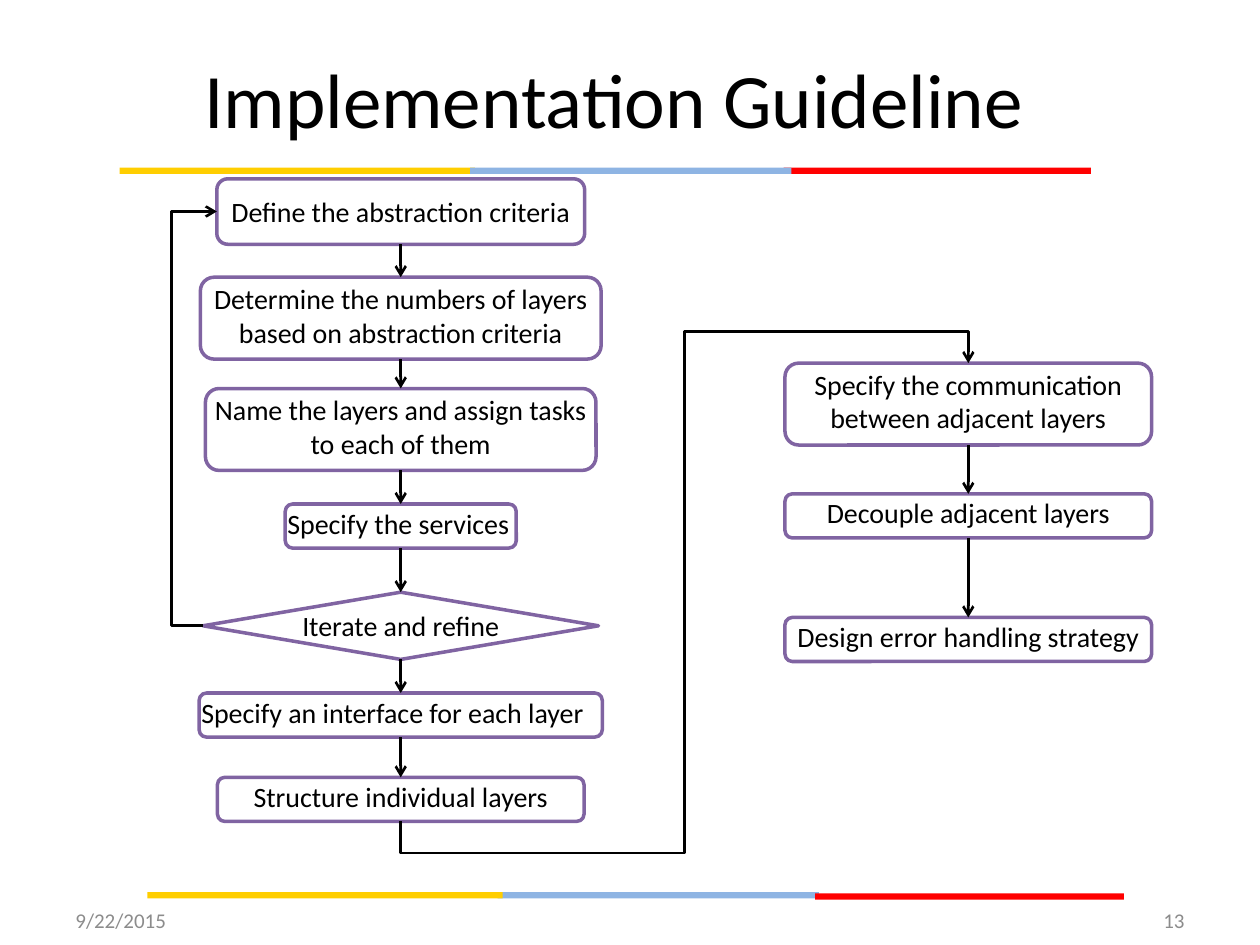
from dataclasses import dataclass
from itertools import pairwise

from lxml.etree import SubElement
from pptx import Presentation
from pptx.dml.color import RGBColor
from pptx.enum.shapes import MSO_CONNECTOR as Connector, MSO_SHAPE as Shape
from pptx.enum.text import MSO_ANCHOR as Anchor, PP_ALIGN as Align
from pptx.oxml.ns import qn
from pptx.shapes.autoshape import Shape as AutoShape
from pptx.shapes.connector import Connector as Line
from pptx.shapes.shapetree import SlideShapes
from pptx.text.text import TextFrame
from pptx.util import Pt

COLORS = {
    "yellow": "FFCE00",
    "blue": "8EB4E3",
    "red": "FF0000",
    "outline": "8064A2",
    "white": "FFFFFF",
    "black": "000000",
    "gray": "8C8C8C",
}
FONT = "Calibri"
LEFT_COLUMN, RIGHT_COLUMN = 229, 553.3
TOP, BOTTOM = 0, 2


@dataclass(frozen=True)
class Bar:
    left: float
    top: float
    width: float
    color: str


@dataclass(frozen=True)
class Step:
    text: str
    center: float
    top: float
    width: float
    height: float = 25.2
    align: Align = Align.CENTER
    outline: Shape = Shape.FLOWCHART_ALTERNATE_PROCESS
    inset_top: float = 0
    inset_bottom: float = 3.6


@dataclass(frozen=True)
class Label:
    text: str
    left: float
    top: float
    width: float
    height: float
    size: float
    color: str
    align: Align


BARS = [
    Bar(447.8, 95.8, 175.7, "red"),
    Bar(68.4, 95.8, 203, "yellow"),
    Bar(268.6, 95.8, 183.6, "blue"),
    Bar(284.4, 509.8, 183.6, "blue"),
    Bar(465.8, 510.5, 176.4, "red"),
    Bar(84.2, 509.8, 203, "yellow"),
]

LEFT_STEPS = [
    Step("Define the abstraction criteria", LEFT_COLUMN, 102.2, 210.2, 37.4,
         inset_top=7.2, inset_bottom=7.2),
    Step("Determine the numbers of layers based on abstraction criteria",
         LEFT_COLUMN, 158.4, 229, 46.8),
    Step("Name the layers and assign tasks to each of them",
         LEFT_COLUMN, 222, 223.2, 46.8),
    Step("Specify the services", LEFT_COLUMN, 288, 132, align=Align.LEFT),
    Step("Iterate and refine", LEFT_COLUMN, 338.4, 226, 38.4,
         outline=Shape.FLOWCHART_DECISION, inset_bottom=0),
    Step("Specify an interface for each layer", LEFT_COLUMN, 396, 230.4,
         align=Align.LEFT),
    Step("Structure individual layers", LEFT_COLUMN, 444.2, 209.5),
]

RIGHT_STEPS = [
    Step("Specify the communication between adjacent layers",
         RIGHT_COLUMN, 207.5, 209.5, 46.8),
    Step("Decouple adjacent layers", RIGHT_COLUMN, 282.2, 209.5),
    Step("Design error handling strategy", RIGHT_COLUMN, 352.8, 209.5),
]

LABELS = [
    Label("Implementation Guideline", 27, 16, 648, 80, 44, "black", Align.CENTER),
    Label("9/22/2015", 36, 511.2, 168, 28.8, 12, "gray", Align.LEFT),
    Label("13", 516, 511.2, 168, 28.8, 12, "gray", Align.RIGHT),
]


def rgb(color: str) -> RGBColor:
    return RGBColor.from_string(COLORS[color])


def write(frame: TextFrame, text: str, size: float, color: str, align: Align) -> None:
    frame.word_wrap = True
    frame.vertical_anchor = Anchor.MIDDLE
    paragraph = frame.paragraphs[0]
    paragraph.text = text
    paragraph.alignment = align
    paragraph.font.name = FONT
    paragraph.font.size = Pt(size)
    paragraph.font.color.rgb = rgb(color)


def draw_bar(shapes: SlideShapes, bar: Bar) -> None:
    stripe = shapes.add_shape(Shape.RECTANGLE, Pt(bar.left), Pt(bar.top),
                              Pt(bar.width), Pt(3.6))
    stripe.shadow.inherit = False
    stripe.fill.solid()
    stripe.fill.fore_color.rgb = rgb(bar.color)
    stripe.line.fill.background()


def draw_label(shapes: SlideShapes, label: Label) -> None:
    caption = shapes.add_textbox(Pt(label.left), Pt(label.top),
                                 Pt(label.width), Pt(label.height))
    write(caption.text_frame, label.text, label.size, label.color, label.align)


def draw_step(shapes: SlideShapes, step: Step) -> AutoShape:
    box = shapes.add_shape(step.outline, Pt(step.center - step.width / 2),
                           Pt(step.top), Pt(step.width), Pt(step.height))
    box.shadow.inherit = False
    box.fill.solid()
    box.fill.fore_color.rgb = rgb("white")
    box.line.color.rgb = rgb("outline")
    box.line.width = Pt(2)
    frame = box.text_frame
    frame.margin_left = frame.margin_right = 0
    frame.margin_top = Pt(step.inset_top)
    frame.margin_bottom = Pt(step.inset_bottom)
    write(frame, step.text, 16, "black", step.align)
    return box


def draw_arrow(shapes: SlideShapes, kind: Connector, start: tuple[float, float],
               end: tuple[float, float]) -> Line:
    arrow = shapes.add_connector(kind, *map(Pt, start + end))
    arrow.line.color.rgb = rgb("black")
    arrow.line.width = Pt(1.5)
    SubElement(arrow.line._get_or_add_ln(), qn("a:tailEnd"), type="arrow")
    SubElement(arrow._element.spPr, qn("a:effectLst"))
    return arrow


def bend(arrow: Line, preset: str, ratios: list[float]) -> None:
    geometry = arrow._element.spPr.find(qn("a:prstGeom"))
    geometry.set("prst", preset)
    guides = geometry.find(qn("a:avLst"))
    for number, ratio in enumerate(ratios, 1):
        SubElement(guides, qn("a:gd"), name=f"adj{number}",
                   fmla=f"val {round(ratio * 100000)}")


def draw_column(shapes: SlideShapes, steps: list[Step]) -> None:
    boxes = [draw_step(shapes, step) for step in steps]
    for upper, lower in pairwise(boxes):
        arrow = draw_arrow(shapes, Connector.STRAIGHT, (0, 0), (0, 0))
        arrow.begin_connect(upper, BOTTOM)
        arrow.end_connect(lower, TOP)


def draw_refine_loop(shapes: SlideShapes, first: Step, decision: Step) -> None:
    start = (decision.center - decision.width / 2, decision.top + decision.height / 2)
    end = (first.center - first.width / 2, first.top + first.height / 2)
    loop_left = 98
    loop = draw_arrow(shapes, Connector.ELBOW, start, end)
    bend(loop, "bentConnector3", [(loop_left - start[0]) / (end[0] - start[0])])


def draw_column_link(shapes: SlideShapes, last: Step, following: Step) -> None:
    bottom, top = last.top + last.height, following.top
    middle_x, middle_y = (last.center + following.center) / 2, (bottom + top) / 2
    half_rise, half_run = (bottom - top) / 2, (following.center - last.center) / 2
    link = draw_arrow(shapes, Connector.ELBOW,
                      (middle_x + half_rise, middle_y + half_run),
                      (middle_x - half_rise, middle_y - half_run))
    link._element.spPr.find(qn("a:xfrm")).set("rot", "5400000")
    overshoot = 18 / (bottom - top)
    bend(link, "bentConnector5", [-overshoot, 0.5, 1 + overshoot])


def main() -> None:
    deck = Presentation()
    deck.slide_width, deck.slide_height = Pt(720), Pt(540)
    shapes = deck.slides.add_slide(deck.slide_layouts[6]).shapes
    for bar in BARS:
        draw_bar(shapes, bar)
    for label in LABELS:
        draw_label(shapes, label)
    for steps in (LEFT_STEPS, RIGHT_STEPS):
        draw_column(shapes, steps)
    draw_refine_loop(shapes, LEFT_STEPS[0], LEFT_STEPS[4])
    draw_column_link(shapes, LEFT_STEPS[-1], RIGHT_STEPS[0])
    deck.save("out.pptx")


if __name__ == "__main__":
    main()
